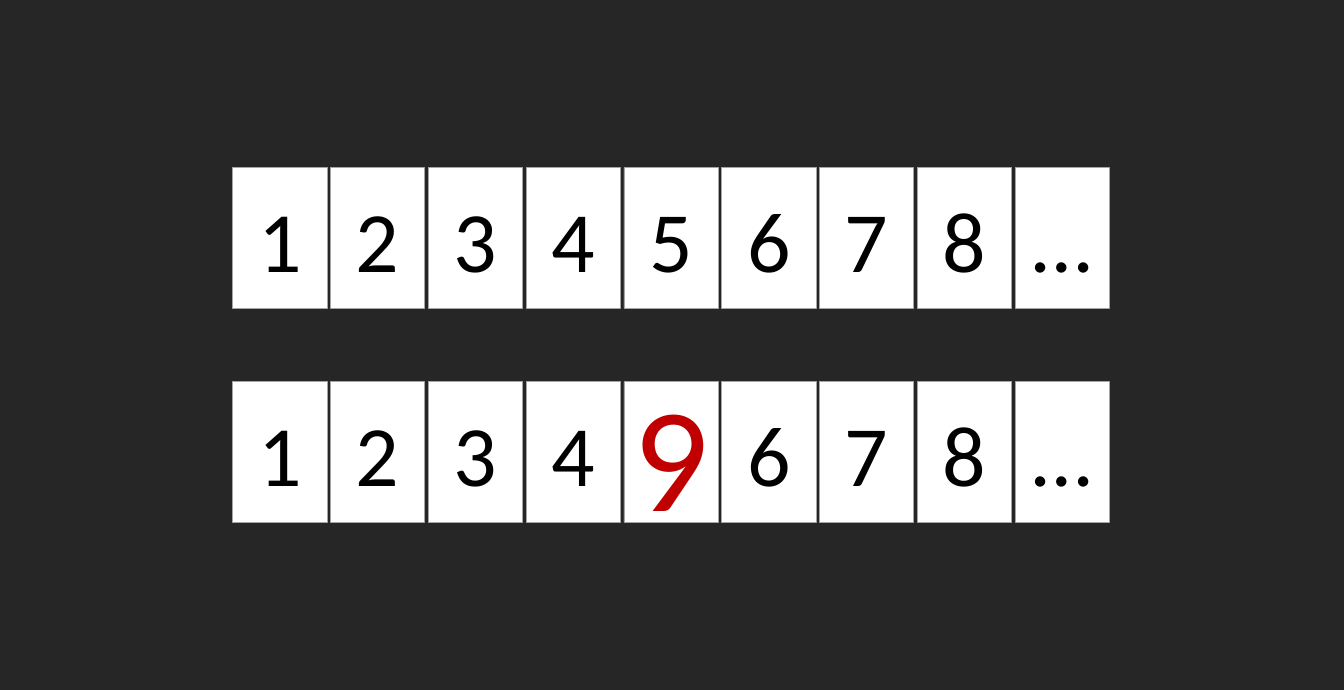
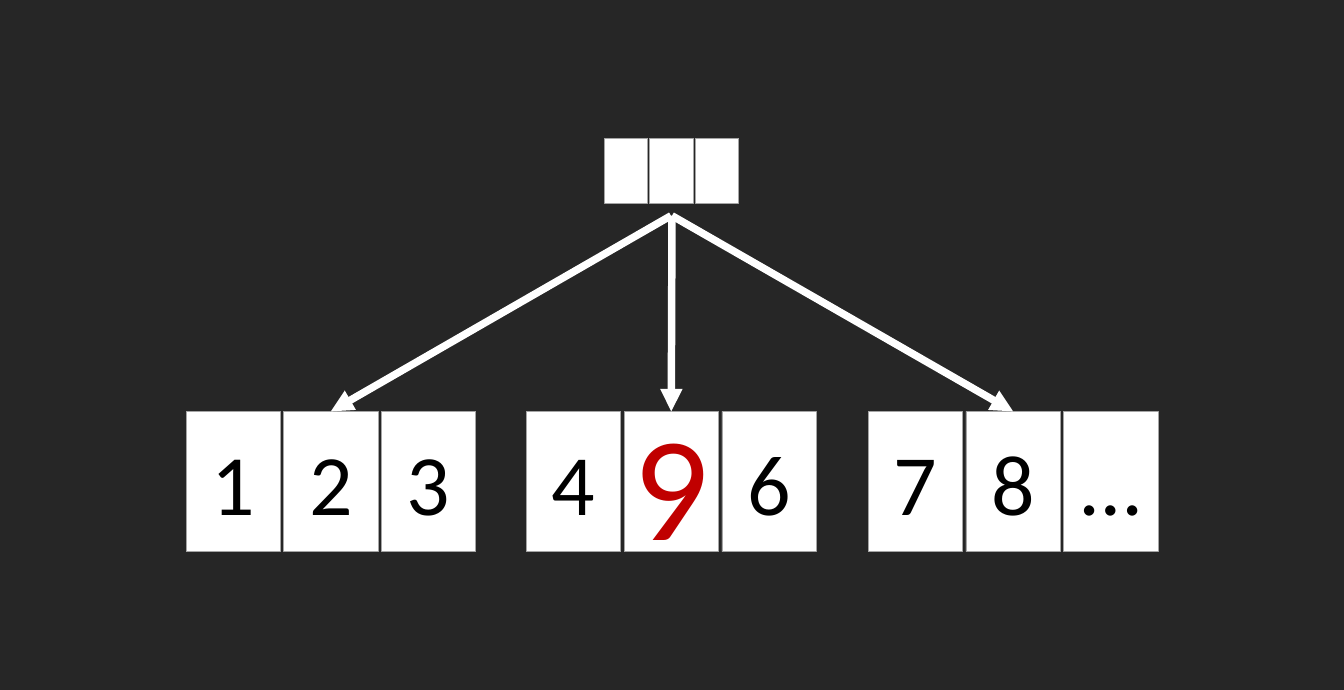
from dataclasses import dataclass

from lxml.etree import SubElement
from pptx import Presentation
from pptx.dml.color import RGBColor
from pptx.enum.shapes import MSO_CONNECTOR, MSO_SHAPE
from pptx.enum.text import MSO_ANCHOR as Anchor, PP_ALIGN as Align
from pptx.oxml.ns import qn
from pptx.util import Cm, Pt

# Shared look
BACKDROP, WHITE, BLACK, RED, GREY = "262626", "FFFFFF", "000000", "C00000", "A5A5A5"
FONT = "Calibri"
CHANGED = "9"
TOP = 0  # connection site at the middle of the top side


@dataclass(frozen=True)
class CellStyle:
    width: float
    height: float
    pitch: float


@dataclass(frozen=True)
class Row:
    labels: tuple
    left: float
    top: float
    style: CellStyle


LARGE = CellStyle(4.45, 6.63, 4.62)
SMALL = CellStyle(2.06, 3.07, 2.15)


def rgb(value: str) -> RGBColor:
    return RGBColor.from_string(value)


def draw_row(shapes, row: Row) -> list:
    """Draw equally spaced cells and return them."""
    cells = []
    for i, label in enumerate(row.labels):
        left = row.left + i * row.style.pitch
        sp = shapes.add_shape(MSO_SHAPE.RECTANGLE, Cm(left), Cm(row.top),
                              Cm(row.style.width), Cm(row.style.height))
        sp.shadow.inherit = False
        sp.fill.solid()
        sp.fill.fore_color.rgb = rgb(WHITE)
        sp.line.color.rgb = rgb(GREY)
        sp.line.width = Pt(1)
        if label:
            write_label(sp.text_frame, label)
        cells.append(sp)
    return cells


def write_label(tf, label: str) -> None:
    changed = label == CHANGED
    tf.vertical_anchor = Anchor.MIDDLE
    p = tf.paragraphs[0]
    p.text = label
    p.alignment = Align.CENTER
    p.font.name = FONT
    p.font.size = Pt(199 if changed else 115)
    p.font.color.rgb = rgb(RED if changed else BLACK)


def draw_arrow(s, x: float, y: float, target) -> None:
    """Draw an arrow from a point to the top of a cell."""
    line = s.shapes.add_connector(MSO_CONNECTOR.STRAIGHT, Cm(x), Cm(y), Cm(x), Cm(y))
    line.end_connect(target, TOP)
    line.line.color.rgb = rgb(WHITE)
    line.line.width = Pt(10)
    SubElement(line.line._get_or_add_ln(), qn("a:tailEnd"), type="triangle")
    SubElement(line._element.spPr, qn("a:effectLst"))


def array_slide(prs) -> None:
    """One contiguous array, before and after a change."""
    s = prs.slides.add_slide(prs.slide_layouts[6])
    for labels, top in (("12345678…", 7.92), ("12349678…", 18.03)):
        group = s.shapes.add_group_shape()
        draw_row(group.shapes, Row(tuple(labels), 11, top, LARGE))


def tree_slide(prs) -> None:
    """Three chunks below one root node."""
    s = prs.slides.add_slide(prs.slide_layouts[6])
    chunks = (("123", 8.79), ("496", 24.87), ("78…", 41.02))
    left, middle, right = [
        draw_row(s.shapes, Row(tuple(labels), x, 19.43, LARGE))[1]
        for labels, x in chunks
    ]

    # Root node and its pointers
    root = s.shapes.add_group_shape()
    draw_row(root.shapes, Row(("",) * 3, 28.55, 6.53, SMALL))
    for x, target in ((31.75, middle), (31.75, right), (31.7, left)):
        draw_arrow(s, x, 10.19, target)


def main() -> None:
    prs = Presentation()
    prs.slide_width, prs.slide_height = Cm(63.5), Cm(32.59)
    fill = prs.slide_master.background.fill
    fill.solid()
    fill.fore_color.rgb = rgb(BACKDROP)
    array_slide(prs)
    tree_slide(prs)
    prs.save("out.pptx")


if __name__ == "__main__":
    main()
